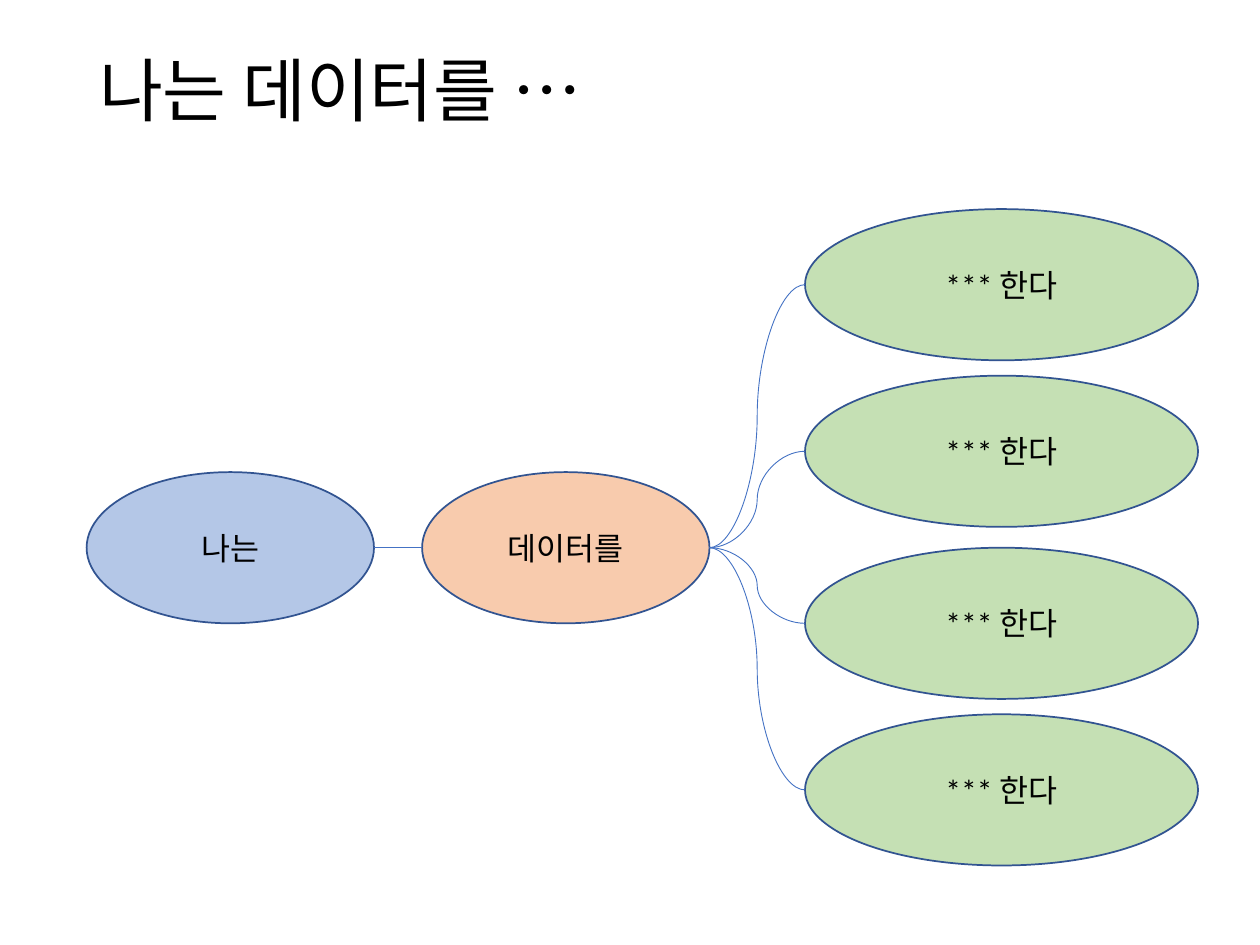
from dataclasses import dataclass

from pptx import Presentation
from pptx.dml.color import RGBColor
from pptx.enum import shapes as es, text as et
from pptx.oxml import ns
from pptx.util import Pt

FONT = "Calibri"
INK = "000000"
EDGE = "325491"
LINK = "4472C4"
HIGH = 86.4  # height of every ellipse


@dataclass
class Node:
    text: str
    left: float
    top: float
    width: float
    fill: str

    @property
    def right(self) -> float:
        return self.left + self.width

    @property
    def mid(self) -> float:
        return self.top + HIGH / 2


def color(code: str) -> RGBColor:
    return RGBColor.from_string(code)


def style(par, size: float) -> None:
    par.font.name = FONT
    par.font.size = Pt(size)
    par.font.color.rgb = color(INK)


def draw_node(slide, node: Node) -> None:
    oval = slide.shapes.add_shape(
        es.MSO_SHAPE.OVAL, Pt(node.left), Pt(node.top), Pt(node.width), Pt(HIGH))
    oval.shadow.inherit = False
    oval.fill.solid()
    oval.fill.fore_color.rgb = color(node.fill)
    oval.line.color.rgb = color(EDGE)
    oval.line.width = Pt(1)
    frame = oval.text_frame
    frame.word_wrap = True
    frame.vertical_anchor = et.MSO_ANCHOR.MIDDLE
    frame.text = node.text
    par = frame.paragraphs[0]
    par.alignment = et.PP_ALIGN.CENTER
    style(par, 18)


def draw_link(slide, start: Node, end: Node, kind: es.MSO_CONNECTOR) -> None:
    link = slide.shapes.add_connector(
        kind, Pt(start.right), Pt(start.mid), Pt(end.left), Pt(end.mid))
    link.line.color.rgb = color(LINK)
    link.line.width = Pt(0.5)
    props = link._element.spPr
    props.append(props.makeelement(ns.qn("a:effectLst"), {}))


def draw_title(slide, text: str) -> None:
    title = slide.shapes.title
    title.left, title.top = Pt(49.5), Pt(28.8)
    title.width, title.height = Pt(620.6), Pt(49.7)
    frame = title.text_frame
    frame.text = text
    frame.auto_size = et.MSO_AUTO_SIZE.NONE
    frame.vertical_anchor = et.MSO_ANCHOR.MIDDLE
    par = frame.paragraphs[0]
    par.alignment = et.PP_ALIGN.LEFT
    par.line_spacing = 0.9
    style(par, 39.6)


def main() -> None:
    deck = Presentation()
    deck.slide_width, deck.slide_height = Pt(720), Pt(540)
    slide = deck.slides.add_slide(deck.slide_layouts[5])
    draw_title(slide, "나는 데이터를 …")

    # Subject, object and the four possible verbs
    me = Node("나는", 49.5, 269.8, 164.2, "B4C7E7")
    data = Node("데이터를", 241.2, 269.8, 164.2, "F8CBAD")
    verbs = [Node("*** 한다", 460, top, 224.6, "C5E0B4")
             for top in (119.5, 214.7, 313, 408.2)]
    for node in (me, data, *verbs):
        draw_node(slide, node)

    # Branches from the object, then the link from the subject
    for verb in verbs:
        draw_link(slide, data, verb, es.MSO_CONNECTOR.CURVE)
    draw_link(slide, me, data, es.MSO_CONNECTOR.STRAIGHT)

    deck.save("out.pptx")


if __name__ == "__main__":
    main()
